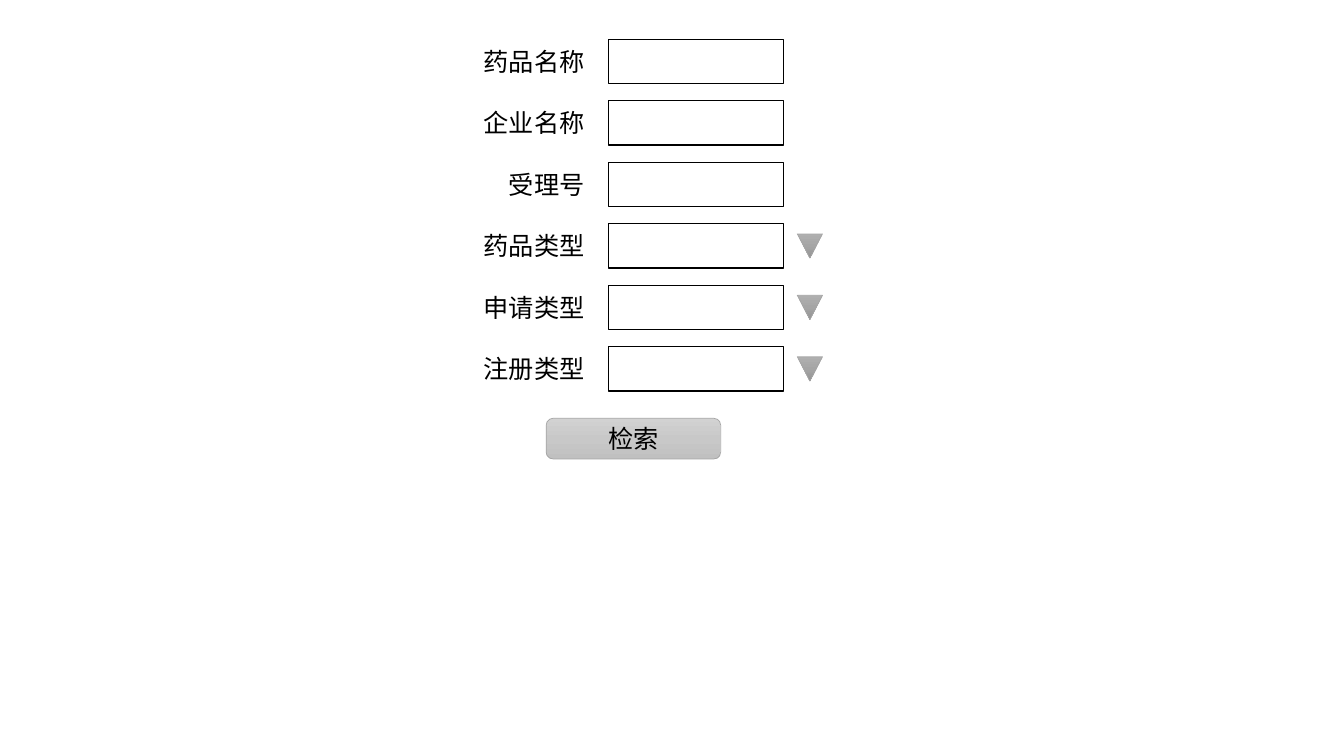
from copy import deepcopy

from lxml.etree import SubElement
from pptx import Presentation
from pptx.dml.color import RGBColor
from pptx.enum.shapes import MSO_SHAPE
from pptx.enum.text import MSO_ANCHOR, MSO_AUTO_SIZE, PP_ALIGN
from pptx.oxml.ns import qn
from pptx.util import Pt

COLORS = {
    "ink": "000000",
    "edge": "A5A5A5",
    "arrow": ("AFAFAF", "A5A5A5", "939393"),
    "button": ("D2D2D2", "C8C8C8", "C0C0C0"),
}
FIELDS = [
    ("药品名称", False),
    ("企业名称", False),
    ("受理号", False),
    ("药品类型", True),
    ("申请类型", True),
    ("注册类型", True),
]
FIRST_TOP = 28.1
ROW_STEP = 43.92
LABEL_RIGHT = 424.8


class SearchForm:
    font = "Noto Sans CJK SC"
    size = 18

    def __init__(self, slide):
        self.shapes = slide.shapes

    def color(self, name):
        return RGBColor.from_string(COLORS[name])

    def outlined(self, kind, bounds, line, width):
        shape = self.shapes.add_shape(kind, *map(Pt, bounds))
        shape.shadow.inherit = False
        shape.line.color.rgb = self.color(line)
        shape.line.width = Pt(width)
        return shape

    def shaded(self, kind, bounds, shades):
        shape = self.outlined(kind, bounds, "edge", 0.5)
        fill = shape.fill
        fill.gradient()
        fill.gradient_angle = 270
        first = shape._element.spPr.find(".//" + qn("a:gs"))
        first.addnext(deepcopy(first))
        for stop, position, shade in zip(fill.gradient_stops, (0, 0.5, 1), COLORS[shades]):
            stop.position = position
            stop.color.rgb = RGBColor.from_string(shade)
        return shape

    def caption(self, shape, text, align):
        para = shape.text_frame.paragraphs[0]
        para.text = text
        para.alignment = align
        span = para.runs[0]
        span.font.size = Pt(self.size)
        span.font.color.rgb = self.color("ink")
        span.font.name = self.font
        SubElement(span._r.get_or_add_rPr(), qn("a:ea"), typeface=self.font)

    def field(self, top):
        box = self.outlined(MSO_SHAPE.RECTANGLE, (434.9, top, 124.6, 31.7), "ink", 1)
        box.fill.background()

    def label(self, text, top):
        width = len(text) * self.size + 14.4
        box = self.shapes.add_textbox(Pt(LABEL_RIGHT - width), Pt(top + 1.4), Pt(width), Pt(29))
        box.text_frame.word_wrap = False
        box.text_frame.auto_size = MSO_AUTO_SIZE.SHAPE_TO_FIT_TEXT
        self.caption(box, text, PP_ALIGN.LEFT)

    def arrow(self, top):
        self.shaded(MSO_SHAPE.FLOWCHART_MERGE, (569.5, top + 7.2, 18, 17.3), "arrow")

    def button(self, text, top):
        shape = self.shaded(MSO_SHAPE.ROUNDED_RECTANGLE, (390.2, top, 124.6, 29), "button")
        shape.text_frame.vertical_anchor = MSO_ANCHOR.MIDDLE
        self.caption(shape, text, PP_ALIGN.CENTER)


def main():
    deck = Presentation()
    deck.slide_width, deck.slide_height = Pt(960), Pt(540)
    page = deck.slides.add_slide(deck.slide_layouts[6])
    form = SearchForm(page)
    for row, (text, has_list) in enumerate(FIELDS):
        top = FIRST_TOP + row * ROW_STEP
        form.field(top)
        form.label(text, top)
        if has_list:
            form.arrow(top)
    form.button("检索", 298.8)
    deck.save("out.pptx")


if __name__ == "__main__":
    main()
